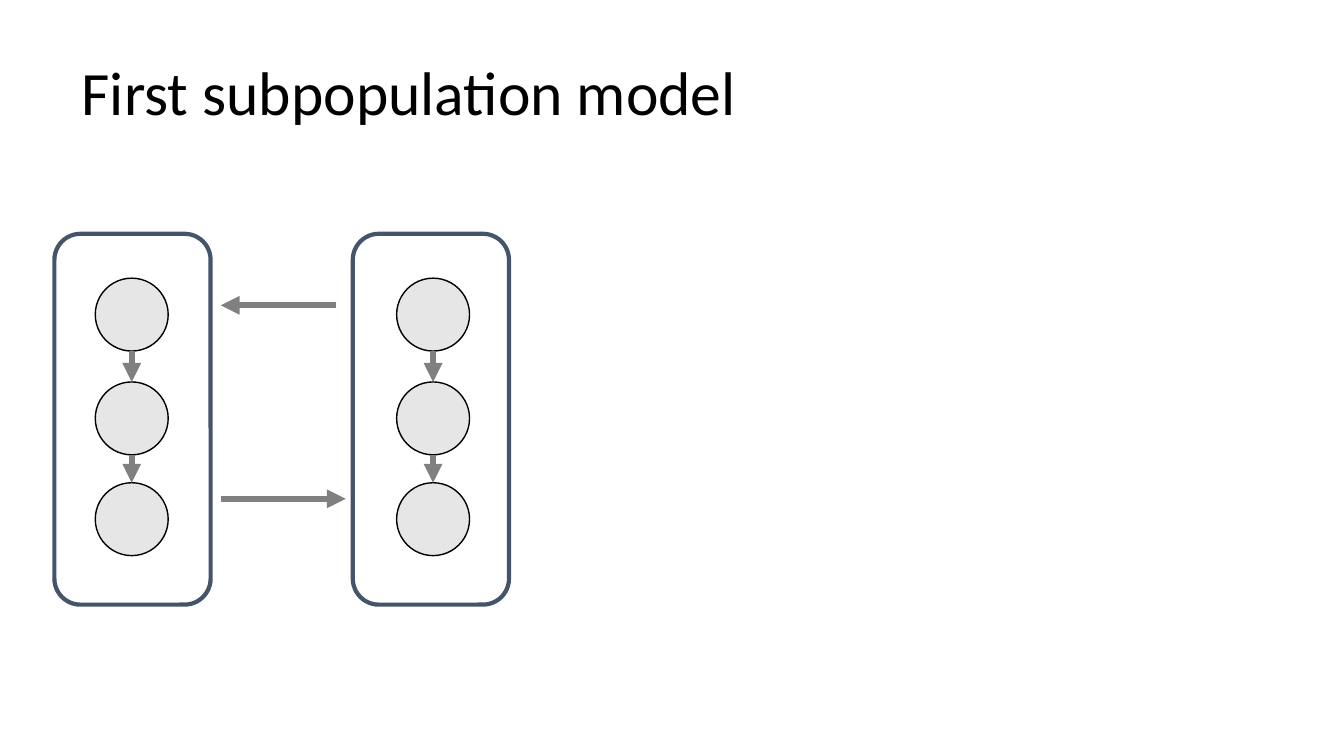
import pptx
import pptx.dml.color
import pptx.enum.shapes
import pptx.enum.text
import pptx.oxml
import pptx.oxml.ns
import pptx.util

COLORS = {
    "background": "FFFFFF",
    "text": "000000",
    "population": "44546A",
    "stage": "E7E6E6",
    "outline": "000000",
    "arrow": "808080",
}
COLORS = {name: pptx.dml.color.RGBColor.from_string(value) for name, value in COLORS.items()}

presentation = pptx.Presentation()
presentation.slide_width = pptx.util.Inches(13.33)
presentation.slide_height = pptx.util.Inches(7.5)
cell = presentation.slide_width / 40
slide = presentation.slides.add_slide(presentation.slide_layouts[5])


def write_text(shape, text, font="Calibri", size=18, color="text", spacing=1.0):
    frame = shape.text_frame
    frame.word_wrap = True
    frame.vertical_anchor = pptx.enum.text.MSO_ANCHOR.MIDDLE
    paragraph = frame.paragraphs[0]
    paragraph.text = text
    paragraph.alignment = pptx.enum.text.PP_ALIGN.LEFT
    paragraph.line_spacing = spacing
    paragraph.font.name = font
    paragraph.font.size = pptx.util.Pt(size)
    paragraph.font.color.rgb = COLORS[color]


def add_arrow(*ends):
    connector = slide.shapes.add_connector(
        pptx.enum.shapes.MSO_CONNECTOR.STRAIGHT, *[int(end * cell) for end in ends])
    connector.line.color.rgb = COLORS["arrow"]
    connector.line.width = pptx.util.Pt(4.5)
    head = pptx.oxml.parse_xml(f'<a:tailEnd {pptx.oxml.ns.nsdecls("a")} type="triangle"/>')
    connector.line._get_or_add_ln().append(head)
    effects = pptx.oxml.parse_xml(f'<a:effectLst {pptx.oxml.ns.nsdecls("a")}/>')
    connector._element.spPr.append(effects)


title = slide.shapes.title
title.left, title.top, title.width, title.height = [
    int(length * cell) for length in (2.13, 0.66, 34.5, 4.35)]
write_text(title, "First subpopulation model", size=44, spacing=0.9)

rounded = pptx.enum.shapes.MSO_SHAPE.ROUNDED_RECTANGLE
oval = pptx.enum.shapes.MSO_SHAPE.OVAL
diameter = 2.17
stage_rows = [8.28, 11.37, 14.37]

for population_left, center in [(1.62, 3.92), (10.5, 12.89)]:
    parts = [(rounded, population_left, 6.96, 4.65, 11.04, "background", "population", 3)]
    for row in stage_rows:
        parts.append((oval, center - diameter / 2, row, diameter, diameter, "stage", "outline", 1))
    for kind, left, top, width, height, fill, line, weight in parts:
        shape = slide.shapes.add_shape(
            kind, *[int(length * cell) for length in (left, top, width, height)])
        shape.shadow.inherit = False
        shape.fill.solid()
        shape.fill.fore_color.rgb = COLORS[fill]
        shape.line.color.rgb = COLORS[line]
        shape.line.width = pptx.util.Pt(weight)
    for upper, lower in zip(stage_rows, stage_rows[1:]):
        add_arrow(center, upper + diameter, center, lower)

add_arrow(6.57, 14.85, 10.29, 14.85)
add_arrow(9.99, 9.09, 6.57, 9.09)

presentation.save("out.pptx")
